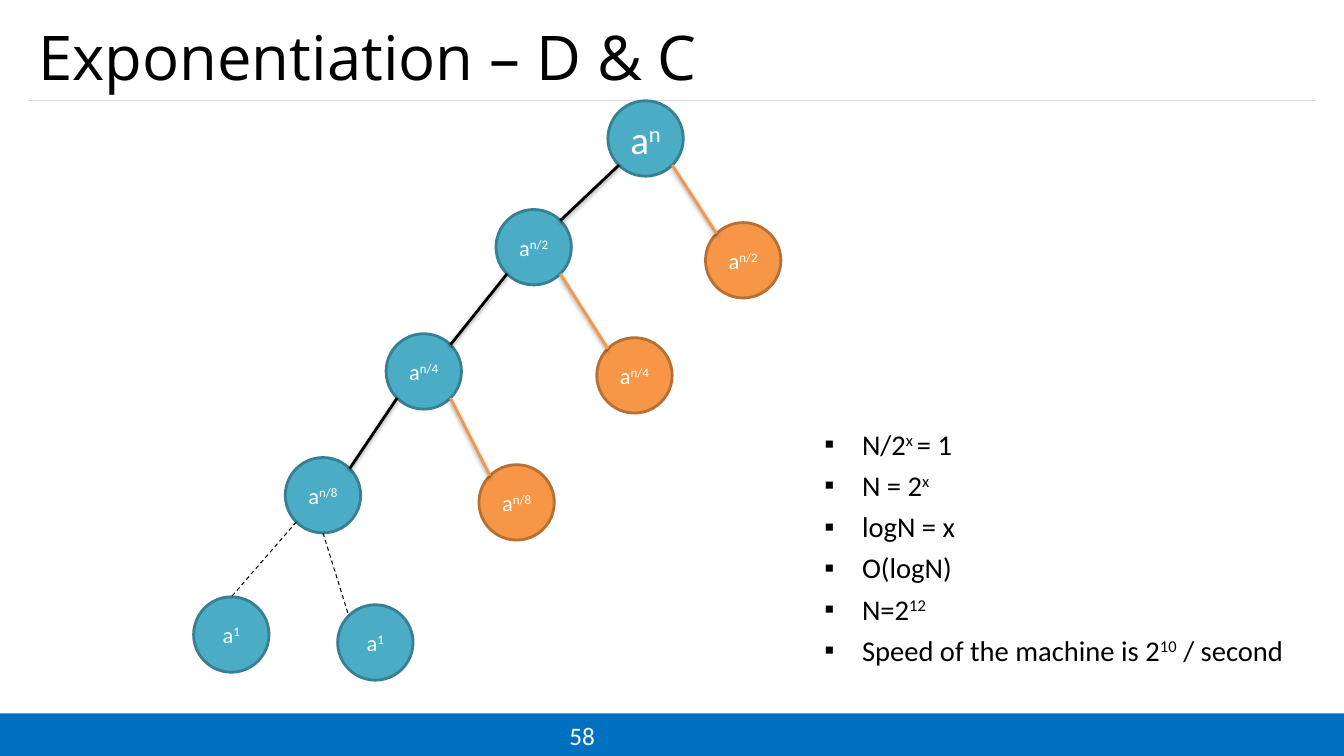
from dataclasses import dataclass
from math import sqrt

from lxml.etree import SubElement
from pptx import Presentation
from pptx.dml.color import RGBColor
from pptx.enum.dml import MSO_LINE
from pptx.enum.shapes import MSO_CONNECTOR, MSO_SHAPE
from pptx.enum.text import MSO_ANCHOR, MSO_AUTO_SIZE, PP_ALIGN
from pptx.oxml import parse_xml
from pptx.oxml.ns import nsdecls, qn
from pptx.util import Cm, Pt


@dataclass(frozen=True)
class Theme:
    black: RGBColor = RGBColor(0, 0, 0)
    white: RGBColor = RGBColor(255, 255, 255)
    rule: RGBColor = RGBColor.from_string("D9D9D9")
    footer: RGBColor = RGBColor.from_string("0070C0")
    computed: RGBColor = RGBColor.from_string("4BACC6")
    computed_edge: RGBColor = RGBColor.from_string("377F92")
    reused: RGBColor = RGBColor.from_string("F79646")
    reused_edge: RGBColor = RGBColor.from_string("B76F34")
    title_size: float = 44
    body_size: float = 20.4
    root_size: float = 28
    node_size: float = 16
    number_size: float = 18
    title_font: str = "Open Sans"
    body_font: str = "Calibri"


theme = Theme()


def write(paragraph, parts, size, color, font=theme.body_font):
    """Add the parts as runs; every second one is superscript."""
    for index, part in enumerate(parts):
        run = paragraph.add_run()
        run.text = part
        for key, value in {"name": font, "size": Pt(size)}.items():
            setattr(run.font, key, value)
        run.font.color.rgb = color
        if index % 2:
            run.font._element.set("baseline", "30000")


def draw_line(start, end, color, width, dashed=False, shadow=False):
    line = slide.shapes.add_connector(
        MSO_CONNECTOR.STRAIGHT, *(Cm(value) for value in (*start, *end)))
    line.line.color.rgb = color
    line.line.width = Pt(width)
    if dashed:
        line.line.dash_style = MSO_LINE.DASH
    effects = SubElement(line._element.spPr, qn("a:effectLst"))
    if shadow:
        effects.append(parse_xml(
            f'<a:outerShdw {nsdecls("a")} blurRad="40000" dist="20000" dir="5400000" '
            'rotWithShape="0"><a:srgbClr val="000000"><a:alpha val="38000"/>'
            '</a:srgbClr></a:outerShdw>'))


presentation = Presentation()
presentation.slide_width, presentation.slide_height = Cm(33.87), Cm(19.05)
slide = presentation.slides.add_slide(presentation.slide_layouts[1])
title, conclusions = slide.placeholders

# Page frame
footer = slide.shapes.add_shape(
    MSO_SHAPE.RECTANGLE, Cm(0), Cm(17.98), Cm(33.87), Cm(1.07))
footer.shadow.inherit = False
footer.fill.solid()
footer.fill.fore_color.rgb = theme.footer
footer.line.fill.background()
draw_line((0.71, 2.54), (33.17, 2.54), theme.rule, 0.75)

page_number = slide.shapes.add_textbox(Cm(13.82), Cm(18.03), Cm(1.7), Cm(1.02))
page_number.text_frame.word_wrap = True
page_number.text_frame.vertical_anchor = MSO_ANCHOR.MIDDLE
number_line = page_number.text_frame.paragraphs[0]
number_line.alignment = PP_ALIGN.CENTER
write(number_line, ["58"], theme.number_size, theme.white)

# Title and conclusions
for placeholder, box, anchor in (
    (title, (0.71, 0.3, 32.46, 2.24), MSO_ANCHOR.MIDDLE),
    (conclusions, (20.52, 10.59, 12.62, 6.98), MSO_ANCHOR.TOP),
):
    for key, value in zip(("left", "top", "width", "height"), box):
        setattr(placeholder, key, Cm(value))
    frame_format = {"vertical_anchor": anchor, "word_wrap": True,
                    "auto_size": MSO_AUTO_SIZE.NONE}
    for key, value in frame_format.items():
        setattr(placeholder.text_frame, key, value)

heading = title.text_frame.paragraphs[0]
heading.alignment = PP_ALIGN.LEFT
write(heading, ["Exponentiation – D & C"], theme.title_size, theme.black,
      theme.title_font)

steps = (
    ("N/2", "x ", "= 1"),
    ("N = 2", "x"),
    ("logN = x",),
    ("O(logN)",),
    ("N=2", "12"),
    ("Speed of the machine is 2", "10", " / second"),
)
for index, step in enumerate(steps):
    frame = conclusions.text_frame
    paragraph = frame.add_paragraph() if index else frame.paragraphs[0]
    step_format = {"alignment": PP_ALIGN.JUSTIFY, "line_spacing": 1.04,
                   "space_before": Pt(4 if index else 0)}
    for key, value in step_format.items():
        setattr(paragraph, key, value)
    properties = paragraph._p.get_or_add_pPr()
    properties.set("marL", str(Cm(0.95)))
    properties.set("indent", str(-Cm(0.95)))
    SubElement(properties, qn("a:buFont"), typeface="Arial")
    SubElement(properties, qn("a:buChar"), char="▪")
    write(paragraph, step, theme.body_size, theme.black)

# Recursion tree: left and top of each circle, exponent, whether it is reused
diameter = 1.9
nodes = {
    "root": (15.32, 2.54, "n", False),
    "half": (12.5, 5.28, "n/2", False),
    "half again": (17.78, 5.61, "n/2", True),
    "quarter": (9.73, 8.41, "n/4", False),
    "quarter again": (15.04, 8.51, "n/4", True),
    "eighth": (7.19, 11.53, "n/8", False),
    "eighth again": (12.07, 11.71, "n/8", True),
    "left leaf": (4.88, 15.04, "1", False),
    "right leaf": (8.51, 15.24, "1", False),
}
rims = {}
for name, (left, top, exponent, reused) in nodes.items():
    circle = slide.shapes.add_shape(
        MSO_SHAPE.OVAL, Cm(left), Cm(top), Cm(diameter), Cm(diameter))
    circle.shadow.inherit = False
    circle.fill.solid()
    circle.fill.fore_color.rgb = theme.reused if reused else theme.computed
    circle.line.color.rgb = theme.reused_edge if reused else theme.computed_edge
    circle.line.width = Pt(2)
    label_format = {"margin_left": 0, "margin_right": 0, "word_wrap": False,
                    "vertical_anchor": MSO_ANCHOR.MIDDLE}
    for key, value in label_format.items():
        setattr(circle.text_frame, key, value)
    label = circle.text_frame.paragraphs[0]
    label.alignment = PP_ALIGN.CENTER
    size = theme.root_size if name == "root" else theme.node_size
    write(label, ["a", exponent], size, theme.white)

    radius = diameter / 2
    diagonal = radius / sqrt(2)
    x, y = left + radius, top + radius
    rims[name] = {
        "top": (x, y - radius),
        "bottom": (x, y + radius),
        "top left": (x - diagonal, y - diagonal),
        "top right": (x + diagonal, y - diagonal),
        "bottom left": (x - diagonal, y + diagonal),
        "bottom right": (x + diagonal, y + diagonal),
    }

levels = ("root", "half", "quarter", "eighth")
for parent, child in zip(levels, levels[1:]):
    draw_line(rims[parent]["bottom left"], rims[child]["top right"],
              theme.black, 2, shadow=True)
    draw_line(rims[parent]["bottom right"], rims[f"{child} again"]["top left"],
              theme.reused, 2, shadow=True)

for start, leaf, end in (("bottom left", "left leaf", "top"),
                         ("bottom", "right leaf", "top left")):
    draw_line(rims["eighth"][start], rims[leaf][end], theme.black, 0.75, dashed=True)

presentation.save("out.pptx")
